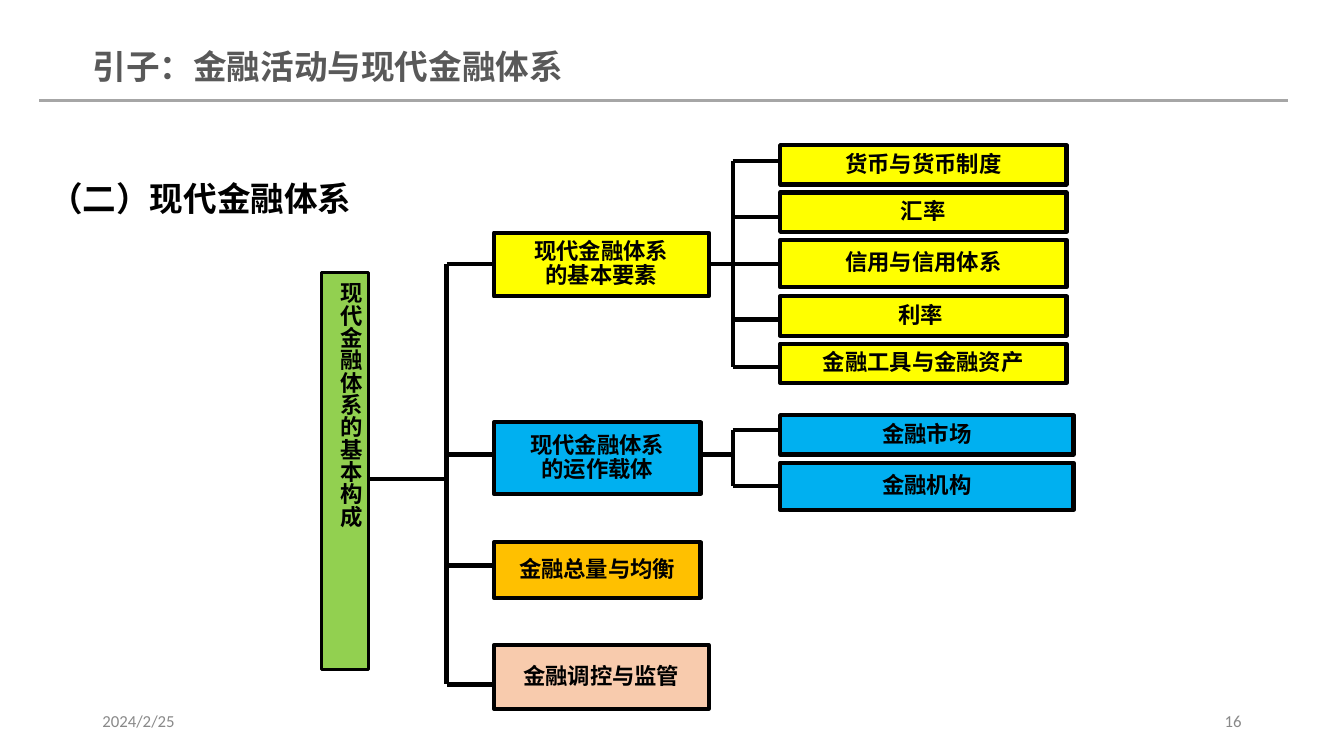
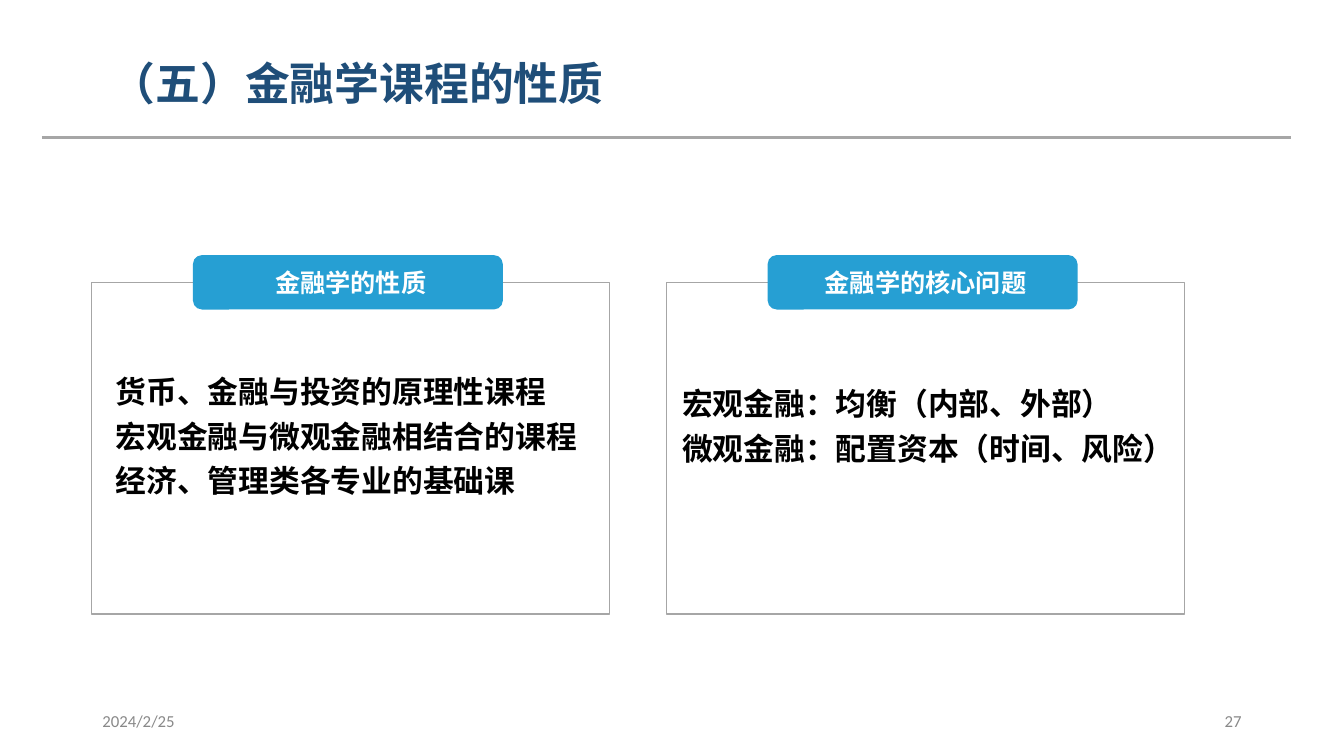
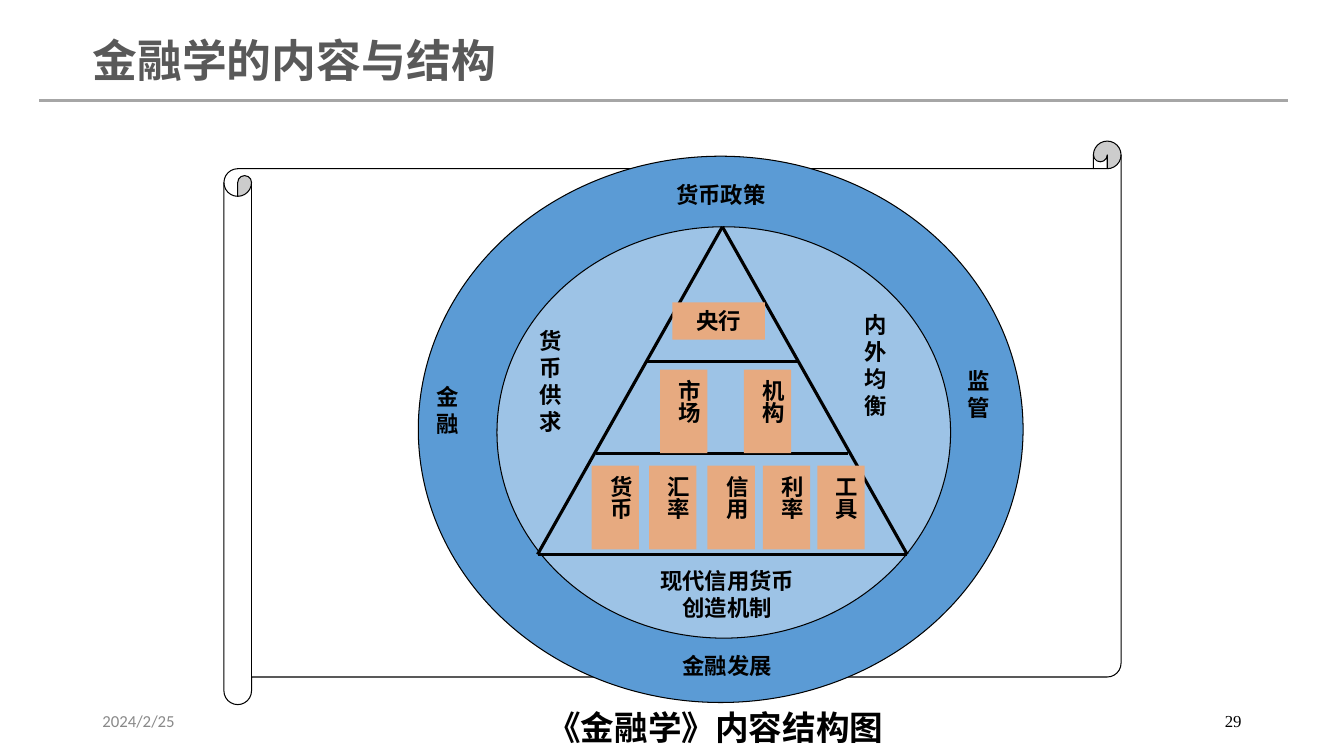
from pptx import Presentation
from pptx.dml.color import RGBColor
from pptx.enum import shapes, text
from pptx.oxml import ns, xmlchemy as xml
from pptx.util import Pt

BLACK = RGBColor(0x00, 0x00, 0x00)
WHITE = RGBColor(0xFF, 0xFF, 0xFF)
DARK = RGBColor(0x59, 0x59, 0x59)
NAVY = RGBColor(0x1F, 0x4E, 0x79)
GREY = RGBColor(0xA6, 0xA6, 0xA6)
PALE = RGBColor(0x89, 0x89, 0x89)
YELLOW = RGBColor(0xFF, 0xFF, 0x00)
CYAN = RGBColor(0x00, 0xB0, 0xF0)
GOLD = RGBColor(0xFF, 0xC0, 0x00)
PEACH = RGBColor(0xF8, 0xCB, 0xAD)
GREEN = RGBColor(0x92, 0xD0, 0x50)
TEAL = RGBColor(0x26, 0x9F, 0xD3)
BLUE = RGBColor(0x5B, 0x9B, 0xD5)
SKY = RGBColor(0x9D, 0xC3, 0xE6)
CLAY = RGBColor(0xE7, 0xAA, 0x80)

HAN = "Noto Sans CJK SC"
KIND = shapes.MSO_SHAPE
LEFT, MID, RIGHT = text.PP_ALIGN.LEFT, text.PP_ALIGN.CENTER, text.PP_ALIGN.RIGHT
TOP, CORE, LOW = text.MSO_ANCHOR.TOP, text.MSO_ANCHOR.MIDDLE, text.MSO_ANCHOR.BOTTOM


def put(sld, at, words="", size=16, color=BLACK, kind=None, fill=None, edge=None,
        wide=1, align=LEFT, anchor=TOP, face=HAN, bold=True, lead=None, gap=0,
        pad=None, wrap=True, vert=False, adj=None):
    """Add a shape, or a text box if no kind is given, with one paragraph a line."""
    at = [Pt(n) for n in at]
    if kind is None:
        box = sld.shapes.add_textbox(*at)
    else:
        box = sld.shapes.add_shape(kind, *at)
        box.shadow.inherit = False
        if adj:
            box.adjustments[0] = adj
        if fill is None:
            box.fill.background()
        else:
            box.fill.solid()
            box.fill.fore_color.rgb = fill
        if edge is None:
            box.line.fill.background()
        else:
            box.line.color.rgb = edge
            box.line.width = Pt(wide)
    if not words:
        return
    frame = box.text_frame
    frame.word_wrap = wrap
    frame.vertical_anchor = anchor
    if pad is not None:
        frame.margin_left = frame.margin_right = Pt(pad)
        frame.margin_top = frame.margin_bottom = Pt(pad)
    if vert:
        frame._txBody.bodyPr.set("vert", "eaVert")
    for i, row in enumerate(words.split("\n")):
        para = frame.add_paragraph() if i else frame.paragraphs[0]
        para.alignment = align
        if lead:
            para.line_spacing = lead
        if i and gap:
            para.space_before = Pt(gap)
        run = para.add_run()
        run.text = row
        font = run.font
        font.name, font.size, font.bold = face, Pt(size), bold
        font.color.rgb = color
        east = xml.OxmlElement("a:ea")
        east.set("typeface", face)
        run._r.get_or_add_rPr().find(ns.qn("a:latin")).addnext(east)


def rule(sld, x1, y1, x2, y2, color=BLACK, wide=3):
    """Add a straight line without shadow."""
    bar = sld.shapes.add_connector(shapes.MSO_CONNECTOR.STRAIGHT, Pt(x1), Pt(y1), Pt(x2), Pt(y2))
    bar.line.color.rgb = color
    bar.line.width = Pt(wide)
    bar._element.spPr.append(xml.OxmlElement("a:effectLst"))


deck = Presentation()
deck.slide_width, deck.slide_height = Pt(960), Pt(540)

# Shared frame: rule, title, date, page number
plain = {"color": DARK}
deep = {"color": NAVY, "anchor": LOW, "pad": 0, "lead": 1.2}
grey = {"color": PALE, "face": "Calibri"}
ink = {"color": BLACK, "face": "Times New Roman"}
heads = [
    ("引子：金融活动与现代金融体系", (59, 29.5, 480, 36.7), 24, plain, 28, 72, "16", grey),
    ("（五）金融学课程的性质", (79, 28, 480, 50), 32, deep, 30, 98, "27", grey),
    ("金融学的内容与结构", (59, 19.5, 480, 46), 32, plain, 28, 72, "29", ink),
]
pages = []
for title, at, size, style, x, y, num, tone in heads:
    sld = deck.slides.add_slide(deck.slide_layouts[6])
    rule(sld, x, y, x + 892, y, GREY, 2.25)
    put(sld, at, title, size, **style)
    put(sld, (66, 500.5, 216, 28.8), "2024/2/25", 12, anchor=CORE, bold=False, **grey)
    put(sld, (678, 500.5, 216, 28.8), num, 12, align=RIGHT, anchor=CORE, bold=False, **tone)
    pages.append(sld)
tree, cards, chart = pages

# Slide 1: tree of the financial system
put(tree, (28, 121, 232.6, 71), "（二）现代金融体系", 24, lead=1.1, wrap=False)
TRUNK, LIMB, FORK, LEAF = 319, 352.8, 523.4, 557.3
node = {"kind": KIND.RECTANGLE, "edge": BLACK, "wide": 3, "align": MID,
        "anchor": CORE, "lead": 0.9, "wrap": False}
# text, fill, top, width, height, line level, leaf width, leaves (text, top, height, level)
limbs = [
    ("现代金融体系\n的基本要素", YELLOW, 166.3, 153.4, 45.4, 188.6, 204.5, [
        ("货币与货币制度", 103.7, 28.1, 115.2),
        ("汇率", 137.5, 28.1, 154.8),
        ("信用与信用体系", 171.4, 33.8, 188.6),
        ("利率 ", 211.7, 28.1, 228.2),
        ("金融工具与金融资产", 245.5, 28.1, 262.1)]),
    ("现代金融体系\n的运作载体", CYAN, 301.7, 147.6, 51.1, 324.7, 209.5, [
        ("金融市场", 296.6, 28.1, 307.4),
        ("金融机构", 330.5, 33.8, 347)]),
    ("金融总量与均衡", GOLD, 387.4, 147.6, 39.6, 403.9, 0, []),
    ("金融调控与监管", PEACH, 460.8, 153.4, 45.4, 488.9, 0, []),
]
rule(tree, 263.5, 342, TRUNK, 342)
rule(tree, TRUNK, limbs[0][5], TRUNK, limbs[-1][5])
for words, fill, top, wide, high, level, span, leaves in limbs:
    rule(tree, TRUNK, level, LIMB, level)
    if leaves:
        rule(tree, LIMB + wide, level, FORK, level)
        rule(tree, FORK, leaves[0][3], FORK, leaves[-1][3])
    put(tree, (LIMB, top, wide, high), words, fill=fill, **node)
    for name, y, tall, mark in leaves:
        rule(tree, FORK, mark, LEAF, mark)
        put(tree, (LEAF, y, span, tall), name, fill=fill, pad=0, **node)
put(tree, (229.7, 194.4, 33.8, 283.7), "现代金融体系的基本构成", kind=KIND.RECTANGLE,
    fill=GREEN, edge=BLACK, wide=2, vert=True)

# Slide 2: two cards with tabs
sides = [
    (65.5, " 金融学的性质", (75.6, 262.8, 568, 113.8),
     "货币、金融与投资的原理性课程\n宏观金融与微观金融相结合的课程\n经济、管理类各专业的基础课"),
    (476, " 金融学的核心问题", (480.2, 271.4, 480, 74.2),
     "宏观金融：均衡（内部、外部）\n微观金融：配置资本（时间、风险）"),
]
for x, name, at, words in sides:
    put(cards, (x, 201.6, 370, 236.9), kind=KIND.RECTANGLE, edge=GREY)
    put(cards, (x + 72.3, 182.2, 221.4, 38.9), name, 18, WHITE, kind=KIND.ROUNDED_RECTANGLE,
        fill=TEAL, align=MID, anchor=CORE, adj=0.167)
    put(cards, at, words, 22, gap=5.3)

# Slide 3: scroll and rings
thin = {"edge": BLACK, "wide": 0.75}
put(chart, (160, 100.8, 640.8, 402.5), kind=KIND.HORIZONTAL_SCROLL, fill=WHITE, adj=0.049, **thin)
put(chart, (298.8, 111.6, 432, 390.2), kind=KIND.OVAL, fill=BLUE, **thin)
put(chart, (355, 162, 324, 293.8), kind=KIND.OVAL, fill=SKY, **thin)

# Triangle and its levels
for ends in [(384, 396, 648, 396), (384, 396, 516, 162), (516, 162, 648, 396),
             (462, 258, 570, 258), (426, 324, 606, 324)]:
    rule(chart, *ends, wide=2.25)

# Tiles in the triangle
put(chart, (480.2, 216, 66.2, 26.6), "央行", kind=KIND.RECTANGLE, fill=CLAY, align=MID)
tiers = [
    (264, [("市场", 471.6), ("机构", 531.4)]),
    (332.6, [("货币", 422.6), ("汇率", 463.7), ("信用", 505.4), ("利率", 545), ("工具", 583.9)]),
]
for y, tiles in tiers:
    for name, x in tiles:
        put(chart, (x, y, 33.8, 59.8), name, kind=KIND.RECTANGLE, fill=CLAY, vert=True)

# Labels on the rings
for name, at, align in [
    ("货币供求", (378, 230.4, 36, 85), LEFT),
    ("内外均衡", (610.6, 218.9, 36, 85), LEFT),
    ("金融", (304.6, 270, 41.8, 46), LEFT),
    ("监管", (684, 258.5, 33.8, 46), LEFT),
    ("货币政策", (455.4, 126, 118.8, 26.6), MID),
    ("现代信用货币创造机制", (457.2, 401.8, 124.6, 46), MID),
    ("金融发展", (457.2, 462.2, 124.6, 26.6), MID),
]:
    put(chart, at, name, align=align)
put(chart, (383.8, 501.1, 258.5, 36.7), "《金融学》内容结构图", 24, wrap=False)

deck.save("out.pptx")
